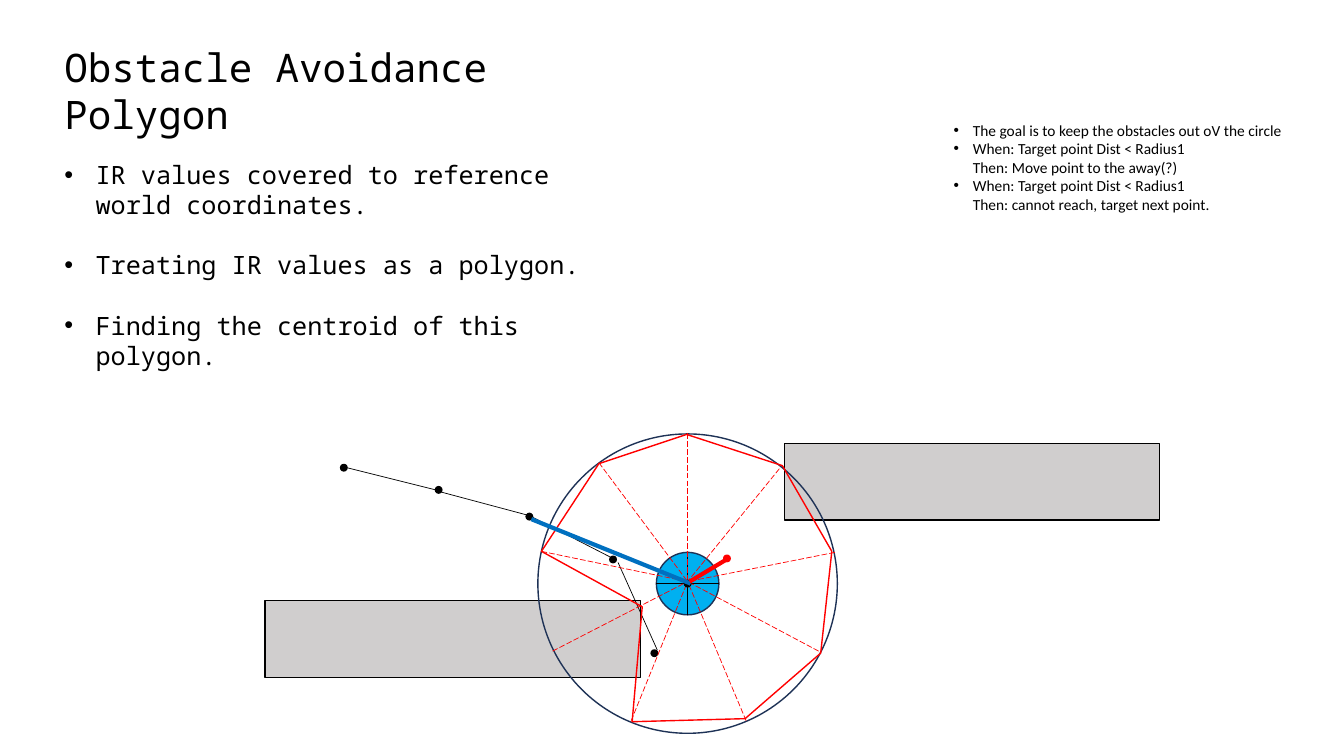
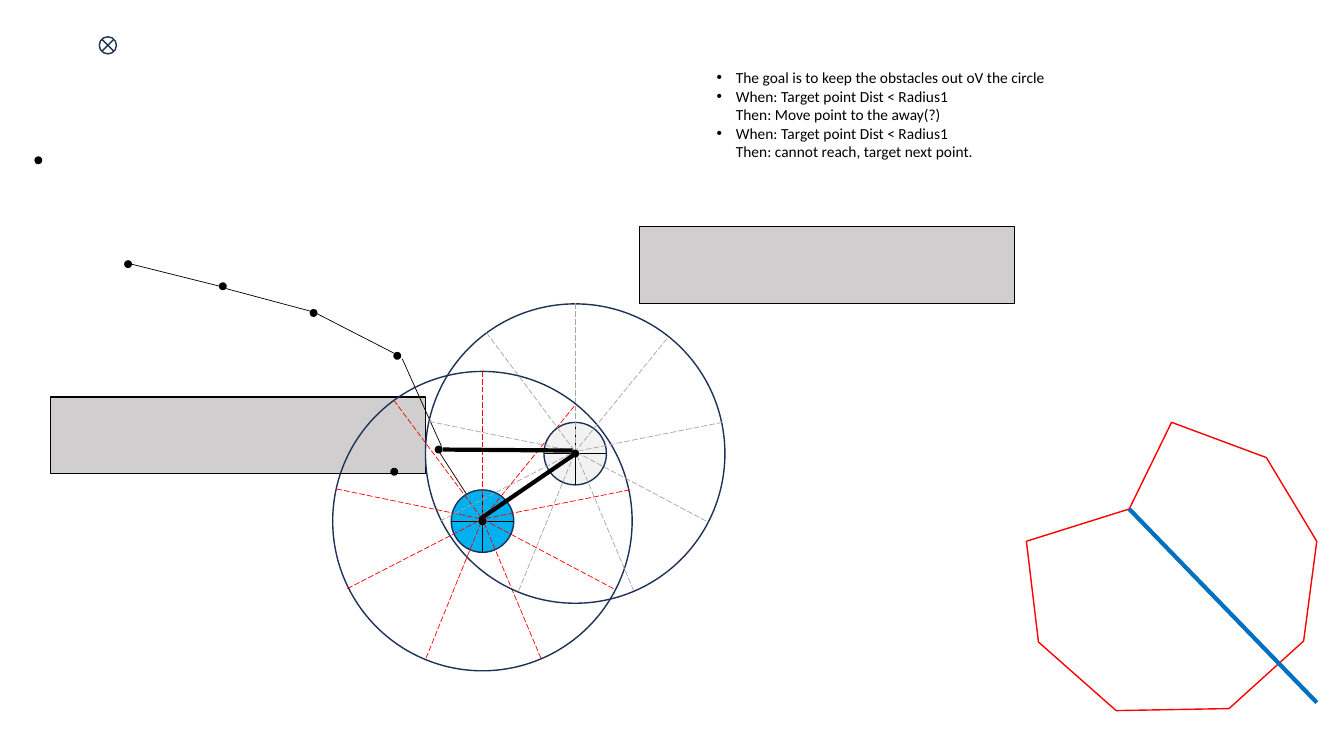
from lxml import etree
from pptx import Presentation
from pptx.dml.color import RGBColor
from pptx.enum.dml import MSO_LINE
from pptx.enum.shapes import MSO_CONNECTOR, MSO_SHAPE
from pptx.oxml.ns import qn
from pptx.util import Inches, Pt

WIDE, HIGH = Inches(13.33), Inches(7.5)
CELL = HIGH / 75  # the grid has 75 rows of square cells

BLACK = RGBColor(0, 0, 0)
RED = RGBColor(0xFF, 0, 0)
GRAY = RGBColor(0xD0, 0xCE, 0xCE)
MIST = RGBColor(0xA6, 0xA6, 0xA6)
PALE = RGBColor(0xF2, 0xF2, 0xF2)
NAVY = RGBColor(0x1E, 0x32, 0x56)
CYAN = RGBColor(0, 0xB0, 0xF0)
BLUE = RGBColor(0, 0x70, 0xC0)

RECT, OVAL = MSO_SHAPE.RECTANGLE, MSO_SHAPE.OVAL
NODE = MSO_SHAPE.FLOWCHART_CONNECTOR
CROSS = MSO_SHAPE.FLOWCHART_SUMMING_JUNCTION
STRAIGHT = MSO_CONNECTOR.STRAIGHT
DASH = MSO_LINE.LONG_DASH

SANS, MONO = "Calibri", "Noto Sans Mono"
TITLE = "Obstacle Avoidance Polygon"
STEPS = [
    "IR values covered to reference world coordinates.",
    "Treating IR values as a polygon.",
    "Finding the centroid of this polygon.",
]
RULES = [
    "The goal is to keep the obstacles out oV the circle",
    "When: Target point Dist < Radius1\nThen: Move point to the away(?)",
    "When: Target point Dist < Radius1\nThen: cannot reach, target next point.",
]

# Offsets in cells: sensor rays from the robot, path nodes from the first node
RAYS = [(0, -14.9), (9.1, -11.4), (14.6, -3.1), (13, 6.7), (5.8, 13.6),
        (-5.6, 13.6), (-13.4, 6.7), (-14.5, -3.2), (-8.8, -12)]
PATH = [(0, 0), (9.4, 2.2), (18.4, 4.85), (26.7, 9.1), (30.8, 18.4)]
LINKS = [(0.3, 0, 9.1, 2.2), (9.6, 2.4, 18.2, 4.7),
         (18.7, 4.9, 26.5, 8.9), (31.1, 18.1, 27.2, 9.4)]
HIT = [(68.1, 43.1), (59.4, 46), (53.7, 54.7), (63.7, 60.2), (62.7, 71.6),
       (73.9, 71.3), (81.4, 64.8), (82.5, 54.7), (77.6, 46.2)]
FREE = [(116.2, 41.9), (112, 50.5), (101.8, 53.7), (103, 63.7), (110.7, 70.5),
        (121.9, 70.3), (129.3, 63.6), (130.6, 53.7), (125.6, 45.4)]


def emu(*cells):
    return [round(n * CELL) for n in cells]


def paint(shape, fill, ink):
    shape.shadow.inherit = False
    if fill is None:
        shape.fill.background()
    else:
        shape.fill.solid()
        shape.fill.fore_color.rgb = fill
    shape.line.color.rgb = ink
    shape.line.width = Pt(1)


def box(shapes, kind, x, y, w, h, fill=None, ink=BLACK):
    paint(shapes.add_shape(kind, *emu(x, y, w, h)), fill, ink)


def disc(shapes, x, y, size, fill=None, ink=NAVY, kind=OVAL):
    """Draw a round shape about the centre (x, y)."""
    box(shapes, kind, x - size / 2, y - size / 2, size, size, fill, ink)


def dot(shapes, x, y, color=BLACK):
    disc(shapes, x, y, 0.64, color, color, NODE)


def line(shapes, x1, y1, x2, y2, color=BLACK, width=0.5, dash=None):
    link = shapes.add_connector(STRAIGHT, *emu(x1, y1, x2, y2))
    link.line.color.rgb = color
    link.line.width = Pt(width)
    if dash:
        link.line.dash_style = dash
    etree.SubElement(link._element.spPr, qn("a:effectLst"))


def ring(shapes, points):
    """Draw a closed red outline."""
    first, *rest = [emu(*point) for point in points]
    form = shapes.build_freeform(*first)
    form.add_line_segments(rest, close=True)
    paint(form.convert_to_shape(), None, RED)


def robot(slide, x, y, fill, color):
    """Draw a robot in its sensor range, as one group."""
    shapes = slide.shapes.add_group_shape().shapes
    disc(shapes, x, y, 29.7)
    disc(shapes, x, y, 6.2, fill)
    line(shapes, x, y + 3.1, x, y - 3.1)
    line(shapes, x + 3.1, y, x - 3.1, y)
    for dx, dy in RAYS:
        line(shapes, x + dx, y + dy, x, y - 0.2, color, dash=DASH)
    dot(shapes, x, y)


def trail(shapes, x, y):
    """Draw the path of the robot from its far node at (x, y)."""
    for x1, y1, x2, y2 in LINKS:
        line(shapes, x + x1, y + y1, x + x2, y + y2)
    for dx, dy in PATH:
        dot(shapes, x + dx, y + dy)


def walls(shapes, *spots):
    for x, y in spots:
        box(shapes, RECT, x, y, 37.2, 7.6, GRAY)


def bullet(para, inch):
    props = para._p.get_or_add_pPr()
    props.set("marL", str(Inches(inch)))
    props.set("indent", str(-Inches(inch)))
    etree.SubElement(props, qn("a:buFont"), typeface="Arial")
    etree.SubElement(props, qn("a:buChar"), char="•")


def text(shapes, area, lines, font, size, inch=0, gap=0):
    """Write paragraphs, with bullets hung by the given inches if any."""
    frame = shapes.add_textbox(*emu(*area)).text_frame
    frame.word_wrap = True
    for i, words in enumerate(lines):
        para = frame.add_paragraph() if i else frame.paragraphs[0]
        para.text = words
        para.space_after = Pt(gap)
        if inch:
            bullet(para, inch)
        for run in para.runs:
            run.font.name = font
            run.font.size = Pt(size)
            run.font.color.rgb = BLACK
        for cut in para._p.findall(qn("a:br")):
            etree.SubElement(cut, qn("a:rPr"), sz=str(size * 100))


def rules(shapes, x, y):
    text(shapes, (x, y, 36.5, 10.3), RULES, SANS, 11, 0.19)


def polygon(slide):
    shapes = slide.shapes
    walls(shapes, (77.8, 44), (26.3, 59.6))
    trail(shapes, 34.1, 46.4)
    robot(slide, 68.2, 57.9, CYAN, RED)
    ring(shapes, HIT)
    rules(shapes, 93.6, 11.5)
    dot(shapes, 72.1, 55.4, RED)
    line(shapes, 52.7, 51.5, 68.5, 57.9, BLUE, 3)
    line(shapes, 71.9, 55.6, 68.4, 57.7, RED, 3)
    text(shapes, (5.4, 3.8, 58.1, 10.5), [TITLE], MONO, 28)
    text(shapes, (5.4, 15.3, 56.6, 25.2), STEPS, MONO, 18, 0.31, 21.5)


def target(slide):
    shapes = slide.shapes
    walls(shapes, (63.4, 22.5), (5, 39.4))
    disc(shapes, 10.7, 4.5, 1.7, kind=CROSS)
    dot(shapes, 3.8, 15.9)
    trail(shapes, 12.7, 26.2)
    line(shapes, 47.8, 51.4, 43.6, 44.9)
    robot(slide, 47.85, 51.7, CYAN, RED)
    ring(shapes, FREE)
    line(shapes, 112, 50.5, 130.6, 69.7, BLUE, 3)
    robot(slide, 57.05, 45, PALE, MIST)
    line(shapes, 56.8, 44.7, 43.9, 44.6, width=3)
    dot(shapes, 39.1, 46.8)
    line(shapes, 56.8, 45.2, 47.6, 51.5, width=3)
    rules(shapes, 70.1, 6.3)


def main():
    deck = Presentation()
    deck.slide_width, deck.slide_height = WIDE, HIGH
    blank = deck.slide_layouts[6]
    for draw in (polygon, target):
        draw(deck.slides.add_slide(blank))
    deck.save("out.pptx")


if __name__ == "__main__":
    main()
